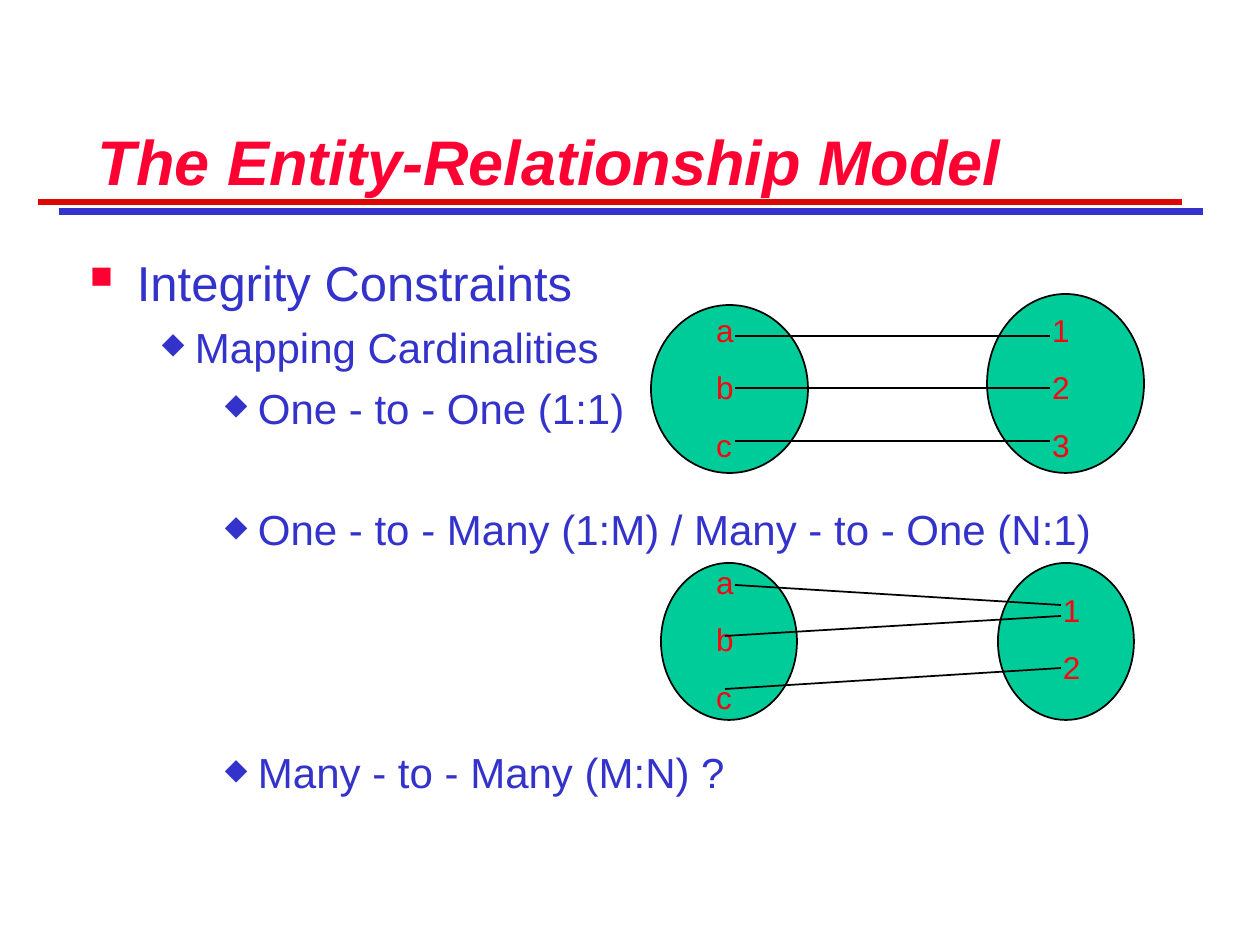
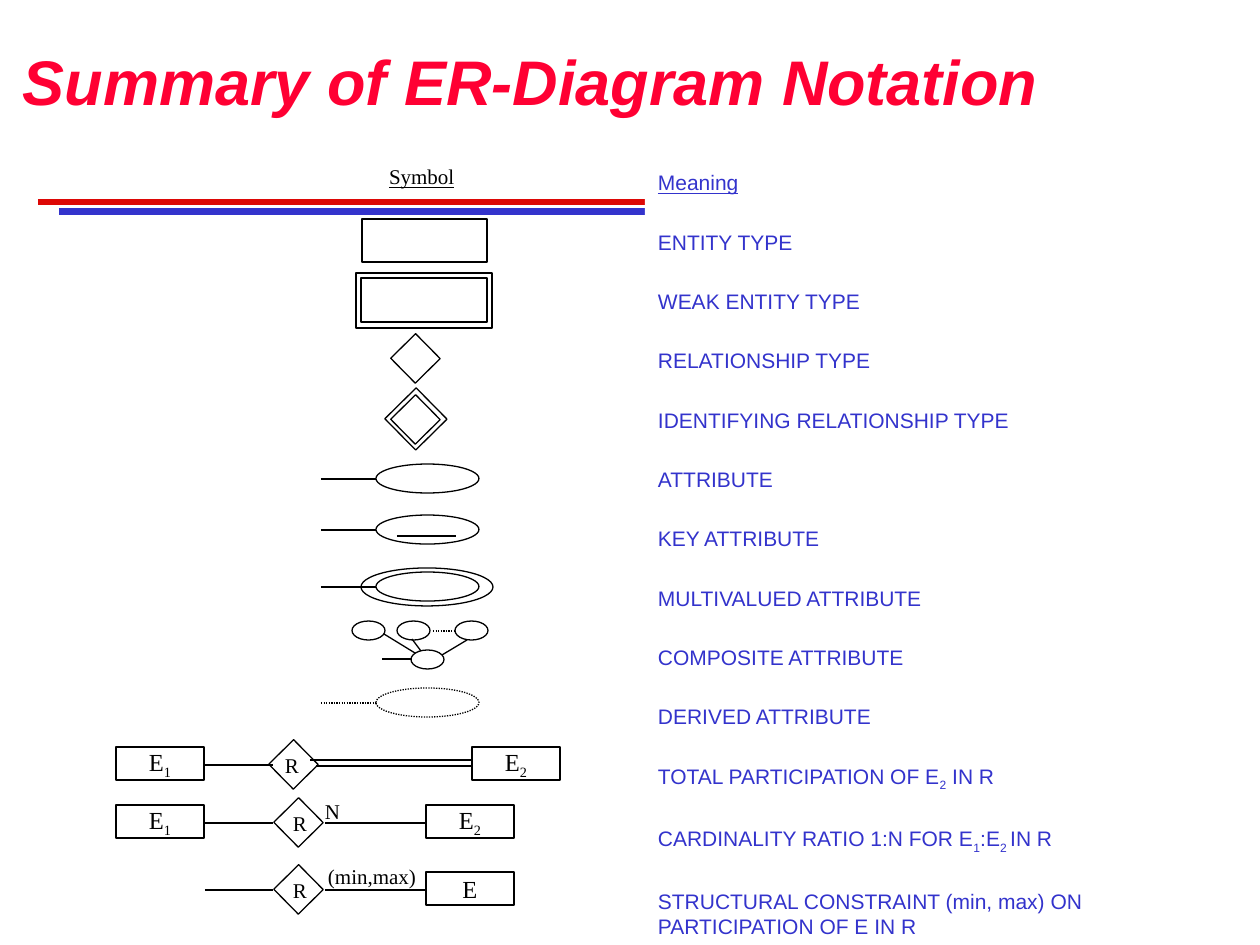
from lxml.etree import SubElement
from pptx import Presentation
from pptx.dml.color import RGBColor
from pptx.enum.dml import MSO_LINE
from pptx.enum.shapes import MSO_CONNECTOR, MSO_SHAPE
from pptx.enum.text import MSO_ANCHOR, PP_ALIGN
from pptx.oxml.ns import qn
from pptx.util import Pt

SCALE = 914400 / 126
INK = {
    "title": "FF0033",
    "red": "DD0806",
    "blue": "3333CC",
    "green": "00CC99",
    "label": "FD020F",
    "black": "000000",
    "white": "FFFFFF",
}
SANS, SERIF = "Arial", "Times New Roman"
RECT, OVAL = MSO_SHAPE.RECTANGLE, MSO_SHAPE.OVAL
LEFT, MID, RIGHT = PP_ALIGN.LEFT, PP_ALIGN.CENTER, PP_ALIGN.RIGHT
PAD = (13, 6, 13, 6)


def px(*nums):
    return [round(n * SCALE) for n in nums]


def ink(name):
    return RGBColor.from_string(INK[name])


def write(frame, text, font=SANS, size=12, color="black", bold=False,
          slant=False, under=False, align=LEFT, before=0, after=0):
    """Add one paragraph; parts between bars become subscripts."""
    para = frame.paragraphs[0]
    if para.runs:
        para = frame.add_paragraph()
    para.alignment = align
    para.space_before, para.space_after = Pt(before), Pt(after)
    for i, part in enumerate(text.split("|")):
        if not part:
            continue
        run = para.add_run()
        run.text = part
        face = run.font
        face.name, face.size = font, Pt(size)
        face.bold, face.italic, face.underline = bold, slant, under
        face.color.rgb = ink(color)
        if i % 2:
            run._r.get_or_add_rPr().set("baseline", "-25000")
    return para


def setup(frame, wrap=True, pad=PAD, anchor=MSO_ANCHOR.TOP):
    frame.word_wrap = wrap
    frame.vertical_anchor = anchor
    (frame.margin_left, frame.margin_top,
     frame.margin_right, frame.margin_bottom) = px(*pad)
    return frame


def area(slide, box, **opts):
    return setup(slide.shapes.add_textbox(*px(*box)).text_frame, **opts)


def shape(slide, kind, box, fill=None, line="black", width=0.75, turn=0,
          dash=None):
    item = slide.shapes.add_shape(kind, *px(*box))
    item.shadow.inherit = False
    item.rotation = turn
    if fill:
        item.fill.solid()
        item.fill.fore_color.rgb = ink(fill)
    else:
        item.fill.background()
    if line:
        item.line.color.rgb = ink(line)
        item.line.width = Pt(width)
        item.line.dash_style = dash
    else:
        item.line.fill.background()
    return item


def line(slide, x1, y1, x2, y2, color="black", width=0.75, dash=None):
    item = slide.shapes.add_connector(MSO_CONNECTOR.STRAIGHT,
                                      *px(x1, y1, x2, y2))
    item.line.color.rgb = ink(color)
    item.line.width = Pt(width)
    item.line.dash_style = dash
    SubElement(item._element.spPr, qn("a:effectLst"))


def bullet(para, mark, color, left, hang, part):
    props = para._p.get_or_add_pPr()
    props.set("marL", str(px(left)[0]))
    props.set("indent", str(px(-hang)[0]))
    tint = SubElement(props, qn("a:buClr"))
    SubElement(tint, qn("a:srgbClr")).set("val", INK[color])
    SubElement(props, qn("a:buSzPct")).set("val", str(part * 1000))
    SubElement(props, qn("a:buChar")).set("char", mark)


def start(deck, title, box, **opts):
    """Add a slide with the double rule and its title."""
    slide = deck.slides.add_slide(deck.slide_layouts[6])
    for x, y, color in ((38, 202, "red"), (59, 212, "blue")):
        line(slide, x, y, x + 1144, y, color, 4)
    write(area(slide, box, **opts), title, size=36, color="title",
          bold=True, slant=True)
    return slide


# Mapping cardinalities

def points(slide, box):
    frame = area(slide, box)
    gap, row = 6, 34.7
    bullet(write(frame, "Integrity Constraints", size=28, color="blue"),
           "■", "title", 47, 47, 64)
    for text, left, skip in (
            ("Mapping Cardinalities", 105, 0),
            ("One - to - One (1:1)", 168, 0),
            ("One - to - Many (1:M) / Many - to - One (N:1)", 168, 1),
            ("Many - to - Many (M:N) ?", 168, 3)):
        para = write(frame, text, size=24, color="blue",
                     before=gap + skip * row)
        bullet(para, "◆", "blue", left, 33, 70)


def mapping(slide, box, sets, links):
    """Draw sets of labels in ovals, and the links between them."""
    x, y = box
    for (dx, dy, w, h), _, _ in sets:
        shape(slide, OVAL, (x + dx, y + dy, w, h), "green", width=1)
    for _, (dx, dy, w, h), names in sets:
        frame = area(slide, (x + dx, y + dy, w, h))
        for name in names:
            write(frame, name, size=18, color="label", before=11.2)
    for x1, y1, x2, y2 in links:
        line(slide, x + x1, y + y1, x + x2, y + y2, width=1)


def model(deck):
    slide = start(deck, "The Entity-Relationship Model",
                  (85, 23, 1155, 181), anchor=MSO_ANCHOR.BOTTOM)
    points(slide, (77, 246, 1124, 636))
    mapping(slide, (651, 294),
            (((0, 11, 157, 168), (52, 11, 84, 166), "abc"),
             ((336, 0, 157, 179), (388, 11, 84, 166), "123")),
            [(84, y, 399, y) for y in (42, 94, 147)])
    mapping(slide, (661, 557),
            (((0, 6, 136, 157), (42, 0, 84, 166), "abc"),
             ((337, 6, 136, 157), (389, 28, 53, 108), "12")),
            ((74, 28, 400, 48), (64, 79, 400, 59), (64, 132, 400, 111)))


# Notation summary

MEANINGS = (
    "ENTITY TYPE",
    "WEAK ENTITY TYPE",
    "RELATIONSHIP TYPE",
    "IDENTIFYING RELATIONSHIP TYPE",
    "ATTRIBUTE",
    "KEY ATTRIBUTE",
    "MULTIVALUED ATTRIBUTE",
    "COMPOSITE ATTRIBUTE",
    "DERIVED ATTRIBUTE",
    "TOTAL PARTICIPATION OF E|2| IN R",
    "CARDINALITY RATIO 1:N FOR E|1|:E|2 |IN R",
    "STRUCTURAL CONSTRAINT (min, max) ON PARTICIPATION OF E IN R",
)


def meanings(slide, box):
    frame = setup(shape(slide, RECT, box, "white", None).text_frame)
    look = dict(color="blue", before=9, after=10.5)
    write(frame, "Meaning", under=True, **look)
    for text in MEANINGS:
        write(frame, text, **look)


def diamond(slide, x, y, side=35):
    shape(slide, RECT, (x, y, side, side), turn=45.4)


def note(slide, box, text, align=RIGHT, **opts):
    write(area(slide, box, wrap=False), text, font=SERIF, align=align, **opts)


def entity(slide, x, y, name):
    frame = setup(shape(slide, RECT, (x, y, 88, 33)).text_frame,
                  wrap=False, anchor=MSO_ANCHOR.MIDDLE)
    write(frame, name, font=SERIF, size=14, align=MID)


def attribute(slide, x, y, dash=None):
    shape(slide, OVAL, (x + 55, y, 103, 29), dash=dash)
    line(slide, x, y + 15, x + 55, y + 15, dash=dash)


def composite(slide, x, y):
    for dx, dy in ((0, 0), (45, 0), (103, 0), (59, 29)):
        shape(slide, OVAL, (x + dx, y + dy, 33, 19))
    for x1, y1, x2, y2 in ((60, 38, 30, 38), (32, 13, 63, 32),
                           (60, 18, 69, 30), (90, 34, 115, 19)):
        line(slide, x + x1, y + y1, x + x2, y + y2)
    line(slide, x + 81, y + 10, x + 102, y + 10, dash=MSO_LINE.ROUND_DOT)


def relation(slide, x, y, left, knot, tag, bars, right, name):
    """Draw a diamond R with a line on its left and bars to an entity."""
    if left:
        entity(slide, x, y, left)
    line(slide, x + 89, y + 18, x + 157, y + 18)
    diamond(slide, x + knot, y)
    note(slide, (x + tag, y, 39, 38), "R")
    for dx, dy in bars:
        line(slide, x + dx, y + dy, x + right, y + dy)
    entity(slide, x + right, y, name)


def symbols(slide, x, y):
    note(slide, (x + 260, y - 6, 110, 38), "Symbol", align=LEFT, under=True)
    shape(slide, RECT, (x + 246, y + 55, 125, 43), "white")
    for box in ((245, 114, 126, 44), (240, 109, 136, 55)):
        shape(slide, RECT, (x + box[0], y + box[1], *box[2:]))
    diamond(slide, x + 282, y + 177)
    diamond(slide, x + 282, y + 238)
    diamond(slide, x + 278, y + 233, 44)
    for top in (300, 351, 408):
        attribute(slide, x + 205, y + top)
    line(slide, x + 281, y + 372, x + 340, y + 372)
    shape(slide, OVAL, (x + 245, y + 404, 132, 38))
    composite(slide, x + 236, y + 457)
    attribute(slide, x + 205, y + 524, MSO_LINE.ROUND_DOT)
    relation(slide, x, y + 583, "E|1|", 160, 156, ((194, 13), (200, 19)),
             356, "E|2|")
    relation(slide, x, y + 641, "E|1|", 165, 164, ((209, 18),), 310, "E|2|")
    relation(slide, x, y + 708, None, 165, 164, ((209, 18),), 310, "E")
    note(slide, (x + 196, y + 629, 40, 38), "N")
    note(slide, (x + 199, y + 694, 130, 38), "(min,max)", align=LEFT)


def summary(deck):
    slide = start(deck, "Summary of ER-Diagram Notation",
                  (10, 42, 1250, 82), pad=(13, 0, 13, 6),
                  anchor=MSO_ANCHOR.MIDDLE)
    meanings(slide, (645, 164, 609, 781))
    symbols(slide, 116, 164)


def main():
    deck = Presentation()
    deck.slide_width, deck.slide_height = px(1260, 945)
    model(deck)
    summary(deck)
    deck.save("out.pptx")


if __name__ == "__main__":
    main()
